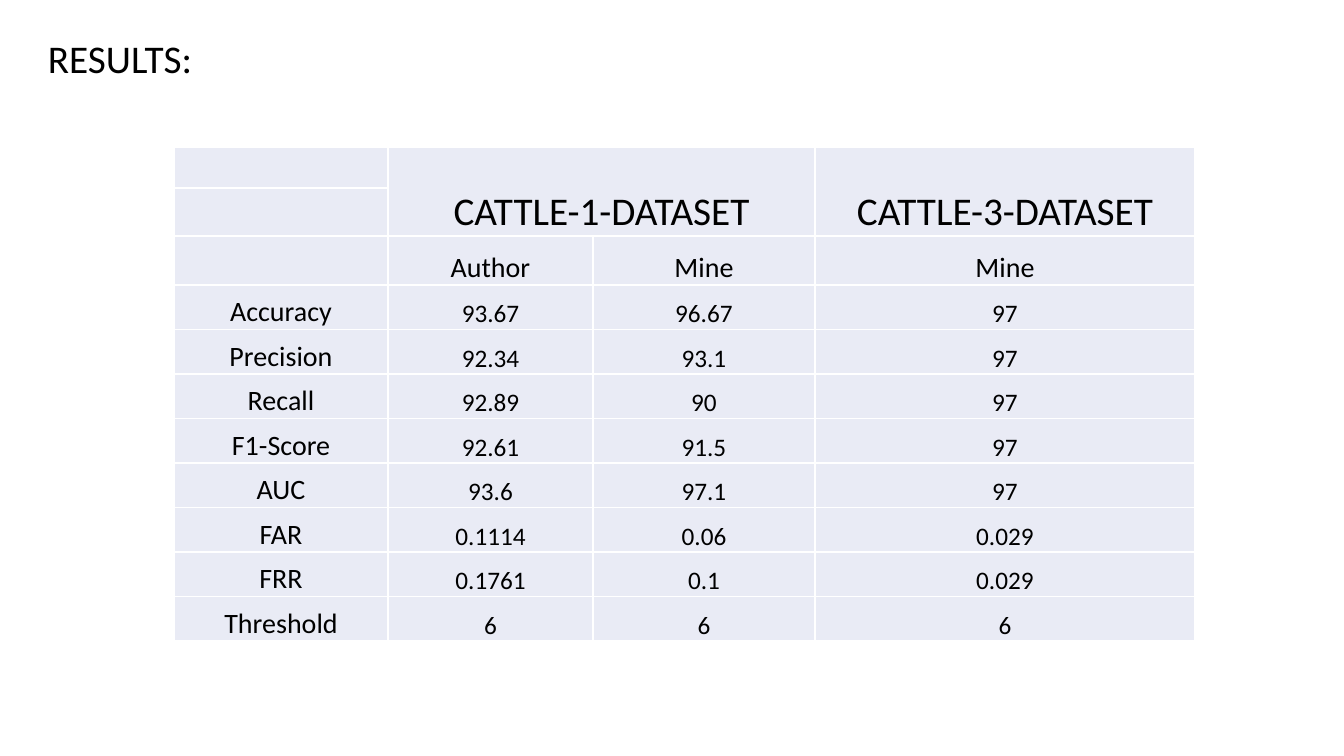
from dataclasses import dataclass

from lxml.etree import SubElement
from pptx import Presentation
from pptx.dml.color import RGBColor
from pptx.enum.text import MSO_ANCHOR, MSO_AUTO_SIZE, PP_ALIGN
from pptx.oxml.ns import qn
from pptx.util import Emu, Pt


@dataclass(frozen=True)
class Theme:
    font: str = "Calibri"
    text: str = "000000"
    cell: str = "E9EBF5"
    border: str = "FFFFFF"
    heading_size: int = 28
    label_size: int = 20
    value_size: int = 18


THEME = Theme()
EMU_PER_PX = 914400 / 100.8

COLUMN_WIDTHS = (214, 205, 222, 380)
HEADER_HEIGHTS = (41, 41, 49)
DATASETS = ("", "CATTLE-1-DATASET", "", "CATTLE-3-DATASET")
SOURCES = ("", "Author", "Mine", "Mine")
METRICS = (
    ("Accuracy", "93.67", "96.67", "97"),
    ("Precision", "92.34", "93.1", "97"),
    ("Recall", "92.89", "90", "97"),
    ("F1-Score", "92.61", "91.5", "97"),
    ("AUC", "93.6", "97.1", "97"),
    ("FAR", "0.1114", "0.06", "0.029"),
    ("FRR", "0.1761", "0.1", "0.029"),
    ("Threshold", "6", "6", "6"),
)


def px(length):
    return Emu(round(length * EMU_PER_PX))


def style_paragraph(paragraph, size):
    paragraph.font.name = THEME.font
    paragraph.font.size = Pt(size)
    paragraph.font.color.rgb = RGBColor.from_string(THEME.text)


def add_title(slide, left, top, width, height):
    title = slide.shapes.add_textbox(px(left), px(top), px(width), px(height))
    frame = title.text_frame
    frame.word_wrap = True
    frame.auto_size = MSO_AUTO_SIZE.SHAPE_TO_FIT_TEXT
    frame.text = "RESULTS:"
    style_paragraph(frame.paragraphs[0], THEME.heading_size)


def add_borders(cell):
    properties = cell._tc.get_or_add_tcPr()
    for side in ("a:lnL", "a:lnR", "a:lnT", "a:lnB"):
        line = SubElement(properties, qn(side), w=str(Pt(1)))
        fill = SubElement(line, qn("a:solidFill"))
        SubElement(fill, qn("a:srgbClr"), val=THEME.border)


def fill_cell(cell, text, size):
    add_borders(cell)
    cell.fill.solid()
    cell.fill.fore_color.rgb = RGBColor.from_string(THEME.cell)
    cell.vertical_anchor = MSO_ANCHOR.BOTTOM
    cell.margin_left = cell.margin_right = cell.margin_top = px(1)
    cell.margin_bottom = 0
    cell.text = text
    paragraph = cell.text_frame.paragraphs[0]
    paragraph.alignment = PP_ALIGN.CENTER
    style_paragraph(paragraph, size)


def text_size(row, column):
    if row == 0 and column > 0:
        return THEME.heading_size
    if row == 2 or (row > 2 and column == 0):
        return THEME.label_size
    return THEME.value_size


def add_results(slide, left, top, width, height):
    """Header rows keep their heights; the metrics share what is left of the box."""
    rows = (DATASETS, ("",) * len(DATASETS), SOURCES, *METRICS)
    table = slide.shapes.add_table(
        len(rows), len(COLUMN_WIDTHS), px(left), px(top), px(width), px(height)
    ).table
    table.first_row = table.horz_banding = False

    for column, column_width in zip(table.columns, COLUMN_WIDTHS):
        column.width = px(column_width)
    metric_height = (height - sum(HEADER_HEIGHTS)) / len(METRICS)
    row_heights = HEADER_HEIGHTS + (metric_height,) * len(METRICS)
    for row, row_height in zip(table.rows, row_heights):
        row.height = px(row_height)

    for r, texts in enumerate(rows):
        for c, text in enumerate(texts):
            fill_cell(table.cell(r, c), text, text_size(r, c))
    table.cell(0, 1).merge(table.cell(1, 2))
    table.cell(0, 3).merge(table.cell(1, 3))


def main():
    presentation = Presentation()
    presentation.slide_width, presentation.slide_height = px(1344), px(756)
    slide = presentation.slides.add_slide(presentation.slide_layouts[6])
    add_title(slide, 38, 29, 692, 57)
    add_results(slide, 174, 147, sum(COLUMN_WIDTHS), 487)
    presentation.save("out.pptx")


if __name__ == "__main__":
    main()
